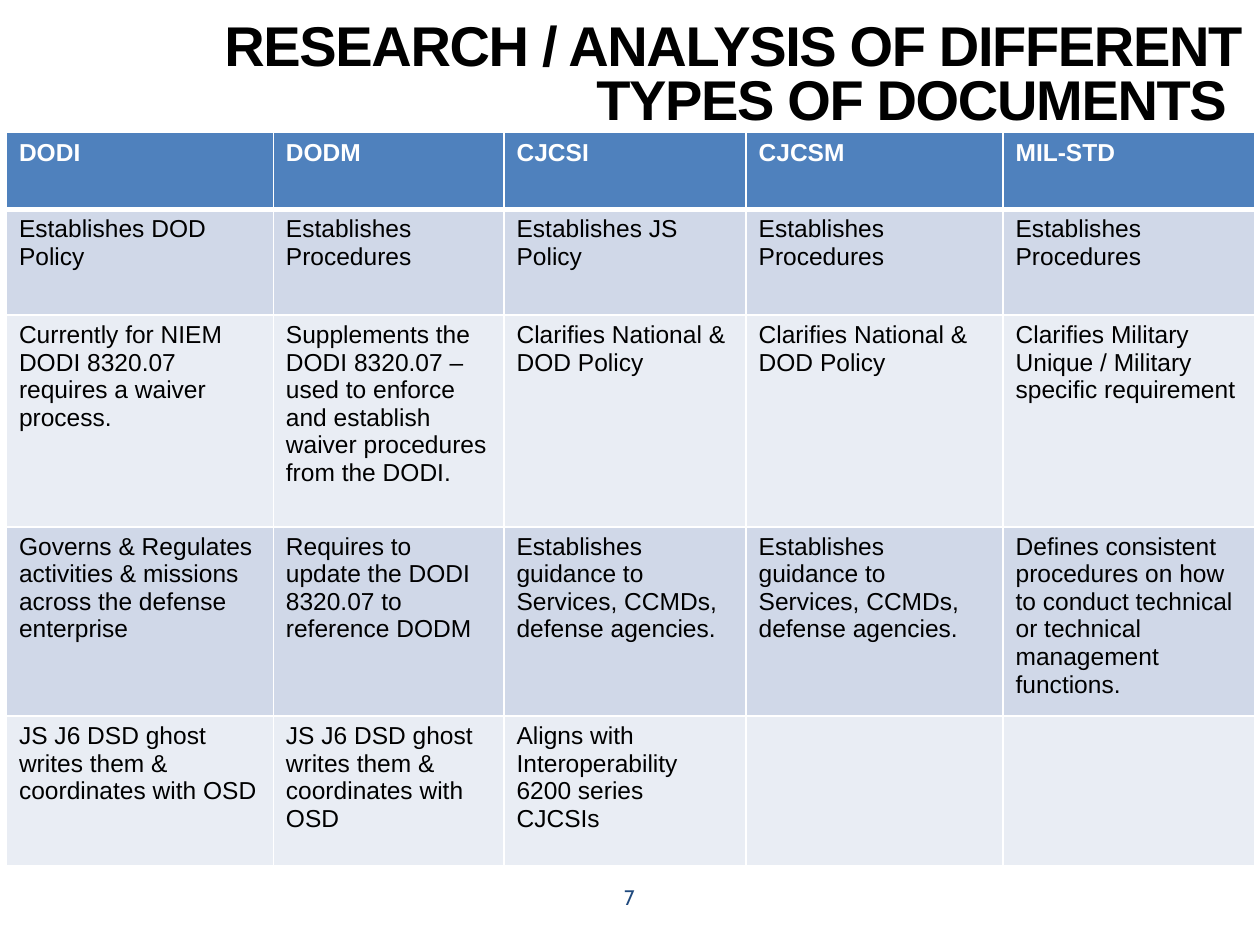
"""Build a slide that compares five types of policy document in a table."""
import pptx
import pptx.dml.color
import pptx.enum.text
import pptx.oxml.ns
import pptx.util
import lxml.etree

Cm = pptx.util.Cm
Pt = pptx.util.Pt
Align = pptx.enum.text.PP_ALIGN
Anchor = pptx.enum.text.MSO_ANCHOR
qn = pptx.oxml.ns.qn

COLORS = {
    "text": "000000",
    "header_text": "FFFFFF",
    "header": "4F81BD",
    "dark_band": "D0D8E8",
    "light_band": "E9EDF4",
    "border": "FFFFFF",
    "number": "1F497D",
}
COLUMN_WIDTHS = [5.38, 4.65, 4.88, 5.18, 5.08]
ROW_HEIGHTS = [1.55, 2.13, 4.27, 3.68, 3.02]
GUIDANCE = "Establishes guidance to Services, CCMDs, defense agencies."
GHOST_WRITER = "JS J6 DSD ghost writes them & coordinates with OSD"
ROWS = [
    ["DODI", "DODM", "CJCSI", "CJCSM", "MIL-STD"],
    ["Establishes DOD Policy", "Establishes Procedures", "Establishes JS Policy",
     "Establishes Procedures", "Establishes Procedures"],
    ["Currently for NIEM DODI 8320.07 requires a waiver process.",
     "Supplements the DODI 8320.07 – used to enforce and establish waiver "
     "procedures from the DODI.",
     "Clarifies National & DOD Policy", "Clarifies National & DOD Policy",
     "Clarifies Military Unique / Military specific requirement"],
    ["Governs & Regulates activities & missions across the defense enterprise",
     "Requires to update the DODI 8320.07 to reference DODM", GUIDANCE, GUIDANCE,
     "Defines consistent procedures on how to conduct technical or technical "
     "management functions."],
    [GHOST_WRITER, GHOST_WRITER, "Aligns with Interoperability 6200 series CJCSIs",
     "", ""],
]


def rgb(name):
    return pptx.dml.color.RGBColor.from_string(COLORS[name])


def add_run(paragraph, text, size, color, bold=False, font="Arial"):
    run = paragraph.add_run()
    run.text = text
    run.font.name = font
    run.font.size = Pt(size)
    run.font.bold = bold
    run.font.color.rgb = rgb(color)
    return run


def add_text_box(slide, left, top, width, height, alignment):
    shape = slide.shapes.add_textbox(Cm(left), Cm(top), Cm(width), Cm(height))
    shape.text_frame.word_wrap = True
    shape.text_frame.paragraphs[0].alignment = alignment
    return shape.text_frame


def add_title(slide):
    frame = add_text_box(slide, 2.54, 0.43, 22.48, 2.26, Align.RIGHT)
    frame.margin_left = frame.margin_right = 0
    frame.margin_top = frame.margin_bottom = 0
    frame.vertical_anchor = Anchor.MIDDLE
    paragraph = frame.paragraphs[0]
    paragraph.line_spacing = 0.8
    text = "RESEARCH / ANALYSIS OF DIFFERENT TYPES OF DOCUMENTS "
    run = add_run(paragraph, text, 32, "text", bold=True)
    run.font._element.set("spc", "-80")


def add_page_number(slide):
    frame = add_text_box(slide, 9.73, 17.7, 5.92, 1.02, Align.CENTER)
    add_run(frame.paragraphs[0], "7", 12, "number", font="Cabin")


def set_borders(cell, widths):
    properties = cell._tc.get_or_add_tcPr()
    for position, (side, width) in enumerate(widths.items()):
        line = lxml.etree.Element(qn(f"a:ln{side}"), w=str(Pt(width)))
        fill = lxml.etree.SubElement(line, qn("a:solidFill"))
        lxml.etree.SubElement(fill, qn("a:srgbClr"), val=COLORS["border"])
        properties.insert(position, line)


def fill_cell(cell, text, row_index):
    is_header = row_index == 0
    band = "dark_band" if row_index % 2 else "light_band"
    cell.fill.solid()
    cell.fill.fore_color.rgb = rgb("header" if is_header else band)
    set_borders(cell, {"L": 1, "R": 1, "T": 3 if row_index == 1 else 1,
                       "B": 3 if is_header else 1})
    paragraph = cell.text_frame.paragraphs[0]
    if text:
        color = "header_text" if is_header else "text"
        add_run(paragraph, text, 14, color, bold=is_header)
    else:
        paragraph.font.size = Pt(14)


def add_document_table(slide):
    shape = slide.shapes.add_table(
        len(ROWS), len(COLUMN_WIDTHS), Cm(0.13), Cm(2.67),
        Cm(sum(COLUMN_WIDTHS)), Cm(sum(ROW_HEIGHTS)))
    table = shape.table
    for column, width in zip(table.columns, COLUMN_WIDTHS):
        column.width = Cm(width)
    for row_index, (row, height) in enumerate(zip(table.rows, ROW_HEIGHTS)):
        row.height = Cm(height)
        for cell, text in zip(row.cells, ROWS[row_index]):
            fill_cell(cell, text, row_index)


def main():
    presentation = pptx.Presentation()
    presentation.slide_width = Cm(25.4)
    presentation.slide_height = Cm(19.05)
    slide = presentation.slides.add_slide(presentation.slide_layouts[6])
    add_title(slide)
    add_page_number(slide)
    add_document_table(slide)
    presentation.save("out.pptx")


if __name__ == "__main__":
    main()
